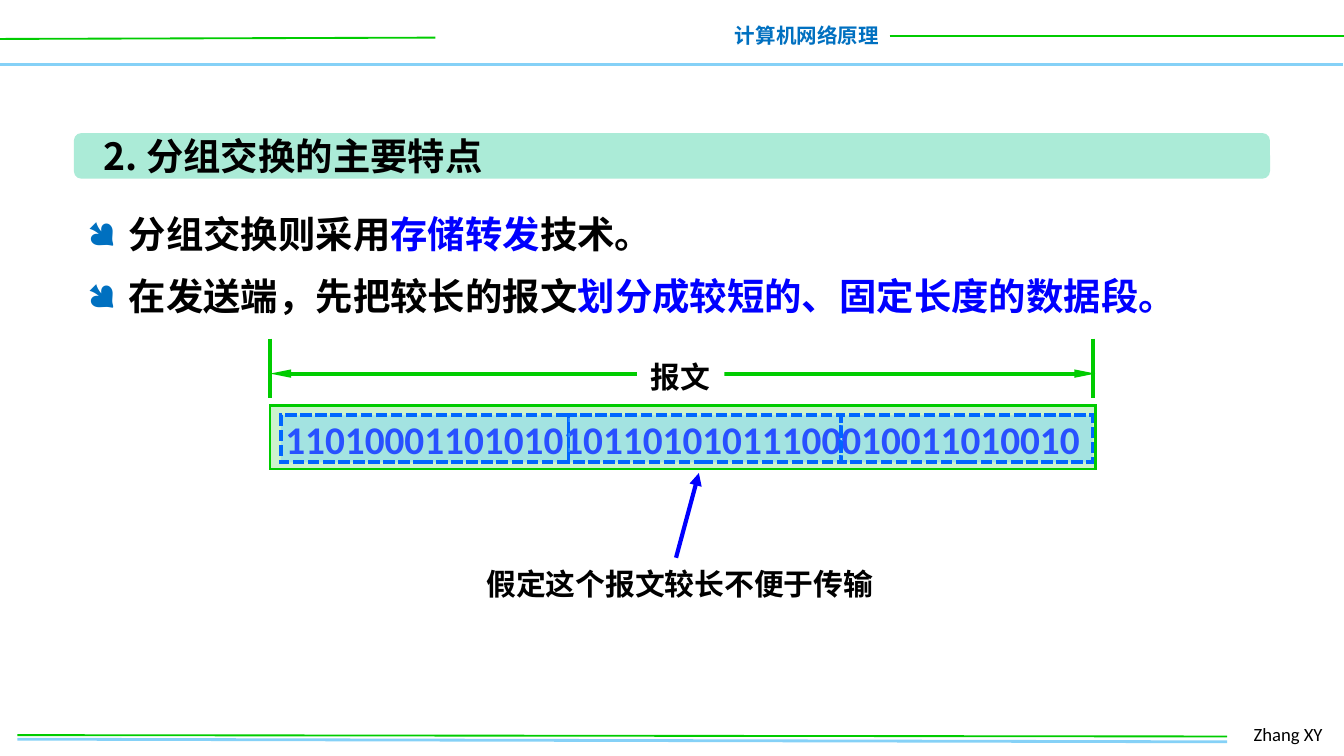
from dataclasses import dataclass
from typing import NamedTuple

from lxml import etree
from pptx import Presentation
from pptx.dml.color import RGBColor
from pptx.enum.dml import MSO_LINE
from pptx.enum.shapes import MSO_CONNECTOR, MSO_SHAPE
from pptx.enum.text import MSO_ANCHOR, MSO_AUTO_SIZE, PP_ALIGN
from pptx.oxml.ns import qn
from pptx.util import Inches, Pt

LEFT, CENTER, RIGHT = PP_ALIGN.LEFT, PP_ALIGN.CENTER, PP_ALIGN.RIGHT
RECT, ROUNDED = MSO_SHAPE.RECTANGLE, MSO_SHAPE.ROUNDED_RECTANGLE
STRAIGHT, DASH, MIDDLE = MSO_CONNECTOR.STRAIGHT, MSO_LINE.SQUARE_DOT, MSO_ANCHOR.MIDDLE
NO_FIT = MSO_AUTO_SIZE.NONE


@dataclass(frozen=True)
class Theme:
    cjk: str = "Noto Sans CJK SC"
    latin: str = "Calibri"
    symbol: str = "Wingdings"
    black: str = "000000"
    white: str = "FFFFFF"
    blue: str = "0000FF"
    header_blue: str = "0070C0"
    sky: str = "85D1F7"
    green: str = "00CC00"
    pale_green: str = "CDF3CD"
    mint: str = "ABEBD7"
    segment: str = "66CCFF"
    segment_edge: str = "0066FF"
    heading: float = 20
    bits: float = 21
    label: float = 16
    header: float = 11
    author: float = 10


T = Theme()


class Box(NamedTuple):
    x: float
    y: float
    w: float
    h: float


class Rule(NamedTuple):
    x1: float
    y1: float
    x2: float
    y2: float
    color: str
    width: float


class Arrow(NamedTuple):
    ends: tuple[str, ...] = ()
    w: str = "med"
    length: str = "med"


class Run(NamedTuple):
    text: str
    size: float
    color: str = T.black
    bold: bool = True
    font: str = T.cjk


def add_rule(s, rule: Rule, arrow: Arrow = Arrow()) -> None:
    c = s.shapes.add_connector(STRAIGHT, *map(Inches, rule[:4]))
    c.line.color.rgb = RGBColor.from_string(rule.color)
    c.line.width = Pt(rule.width)
    ln = c.line._get_or_add_ln()
    for end in arrow.ends:
        etree.SubElement(ln, qn(end), type="triangle", w=arrow.w, len=arrow.length)
    etree.SubElement(c._element.spPr, qn("a:effectLst"))


def add_box(s, box: Box, fill: str, kind=RECT, edge: str = "", width: float = 0):
    sp = s.shapes.add_shape(kind, *map(Inches, box))
    sp.shadow.inherit = False
    sp.fill.solid()
    sp.fill.fore_color.rgb = RGBColor.from_string(fill)
    if edge:
        sp.line.color.rgb = RGBColor.from_string(edge)
        sp.line.width = Pt(width)
        etree.SubElement(sp.line._get_or_add_ln(), qn("a:miter"), lim="800000")
    else:
        sp.line.fill.background()
    return sp


def add_segment(s, box: Box) -> None:
    """Draw a translucent, dashed data segment over the bits."""
    sp = add_box(s, box, T.segment, edge=T.segment_edge, width=2)
    sp.line.dash_style = DASH
    color = sp._element.spPr.find(qn("a:solidFill"))[0]
    etree.SubElement(color, qn("a:alpha"), val="40000")


def add_runs(p, runs: list[Run]) -> None:
    for run in runs:
        r = p.add_run()
        r.text = run.text
        formats = {"size": Pt(run.size), "bold": run.bold, "name": run.font}
        for name, value in formats.items():
            setattr(r.font, name, value)
        r.font.color.rgb = RGBColor.from_string(run.color)
        etree.SubElement(r._r.get_or_add_rPr(), qn("a:ea"), typeface=run.font)


def write(sp, run: Run, align=LEFT, wrap: bool = True) -> None:
    tf = sp.text_frame
    formats = {"word_wrap": wrap, "auto_size": NO_FIT, "vertical_anchor": MIDDLE,
               "margin_left": Inches(0.1), "margin_right": Inches(0.1),
               "margin_top": Inches(0.05), "margin_bottom": Inches(0.05)}
    for name, value in formats.items():
        setattr(tf, name, value)
    p = tf.paragraphs[0]
    p.alignment = align
    add_runs(p, [run])


def add_text(s, box: Box, run: Run, align=LEFT, wrap: bool = True) -> None:
    write(s.shapes.add_textbox(*map(Inches, box)), run, align, wrap)


def add_title(s, box: Box, run: Run) -> None:
    """Place the title placeholder in front of its banner."""
    sp = s.shapes.title
    sp.left, sp.top, sp.width, sp.height = map(Inches, box)
    write(sp, run, wrap=False)
    s.shapes._spTree.append(sp._element)


def add_bullets(s, box: Box, items: list[list[Run]]) -> None:
    tf = s.shapes.add_textbox(*map(Inches, box)).text_frame
    tf.word_wrap = True
    for i, runs in enumerate(items):
        p = tf.add_paragraph() if i else tf.paragraphs[0]
        p.line_spacing = Pt(33)
        pPr = p._p.get_or_add_pPr()
        pPr.set("marL", str(Inches(0.31)))
        pPr.set("indent", str(-Inches(0.31)))
        color = etree.SubElement(pPr, qn("a:buClr"))
        etree.SubElement(color, qn("a:srgbClr"), val=T.header_blue)
        etree.SubElement(pPr, qn("a:buFont"), typeface=T.symbol, charset="2")
        etree.SubElement(pPr, qn("a:buChar"), char="●")
        add_runs(p, runs)


def add_frame(s) -> None:
    """Draw the header and footer."""
    for rule in (Rule(-0.01, 0.48, 9.99, 0.48, T.sky, 2),
                 Rule(0, 0.29, 3.24, 0.28, T.green, 1),
                 Rule(6.62, 0.27, 10.01, 0.27, T.green, 1),
                 Rule(0.13, 5.5, 9.13, 5.52, T.sky, 1.5),
                 Rule(0.13, 5.47, 9.13, 5.48, T.green, 1)):
        add_rule(s, rule)
    add_text(s, Box(5.36, 0.12, 1.28, 0.29),
             Run("计算机网络原理", T.header, T.header_blue), RIGHT, False)
    add_text(s, Box(9.23, 5.33, 0.74, 0.27),
             Run("Zhang XY", T.author, bold=False, font=T.latin))


def add_message(s) -> None:
    """Draw the message, its extent, its note and its segments."""
    left, right, width = 2.01, 8.15, 6.14
    add_rule(s, Rule(left, 2.78, right, 2.78, T.green, 2.25),
             Arrow(("a:headEnd", "a:tailEnd"), "sm", "lg"))
    label = add_box(s, Box(4.74, 2.62, 0.65, 0.37), T.white)
    write(label, Run("报文", T.label), wrap=False)
    add_box(s, Box(left, 3.02, width, 0.47), T.pale_green, edge=T.green, width=1.5)
    add_text(s, Box(3.32, 4.16, 3.48, 0.37),
             Run("假定这个报文较长不便于传输", T.label), CENTER)
    add_rule(s, Rule(5.03, 4.15, 5.2, 3.52, T.blue, 2.25), Arrow(("a:tailEnd",)))
    for x in (left, 8.13):
        add_rule(s, Rule(x, 2.52, x, 2.96, T.green, 2.25))
    add_text(s, Box(left, 3.04, width, 0.45),
             Run("1101000110101010110101011100010011010010", T.bits, T.blue,
                 font=T.latin), CENTER)
    edges = (2.09, 4.23, 6.26, 8.13)
    for x1, x2 in zip(edges, edges[1:]):
        add_segment(s, Box(x1, 3.09, x2 - x1, 0.35))


def main() -> None:
    prs = Presentation()
    prs.slide_width = Inches(10)
    prs.slide_height = prs.slide_width * 9 // 16
    s = prs.slides.add_slide(prs.slide_layouts[5])
    add_frame(s)
    banner = add_box(s, Box(0.55, 0.99, 8.9, 0.34), T.mint, ROUNDED)
    banner.adjustments[0] = 0.167
    add_title(s, Box(0.67, 0.94, 3.15, 0.44),
              Run("2. 分组交换的主要特点", T.heading))
    add_bullets(s, Box(0.55, 1.4, 8.37, 1.03), [
        [Run("分组交换则采用", T.heading), Run("存储转发", T.heading, T.blue),
         Run("技术。", T.heading)],
        [Run("在发送端，先把较长的报文", T.heading),
         Run("划分成较短的、固定长度的数据段。", T.heading, T.blue)]])
    add_message(s)
    prs.save("out.pptx")


if __name__ == "__main__":
    main()
